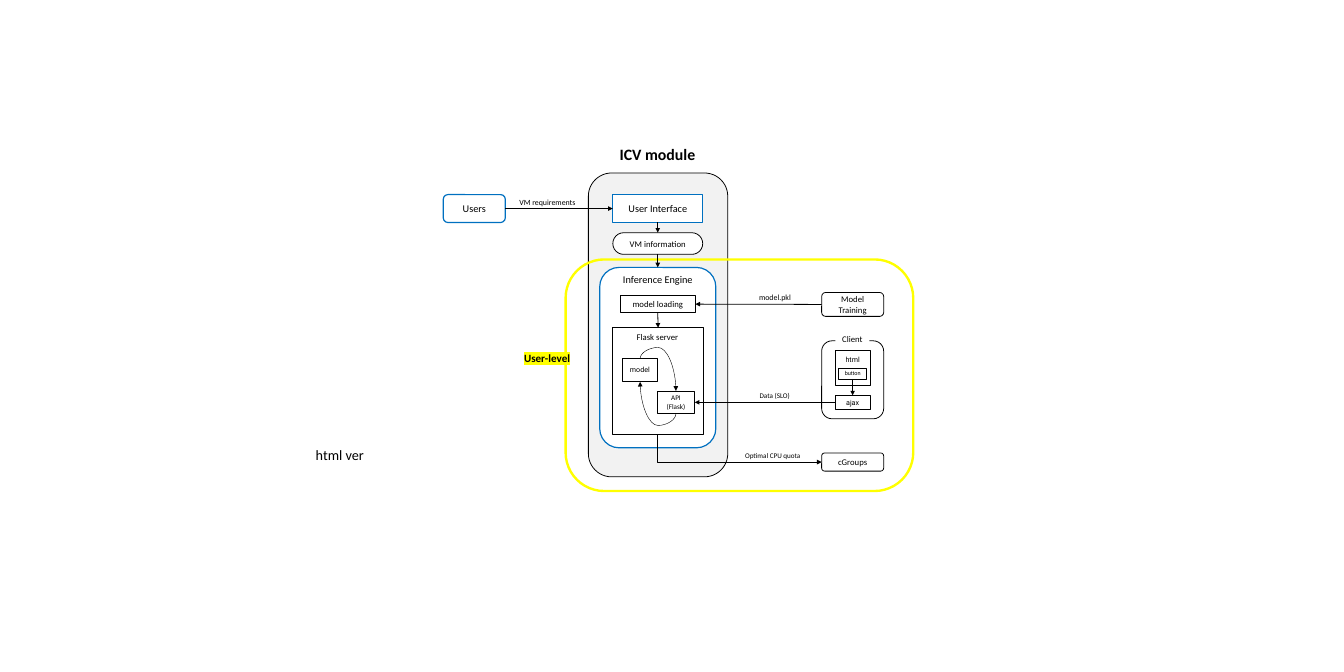
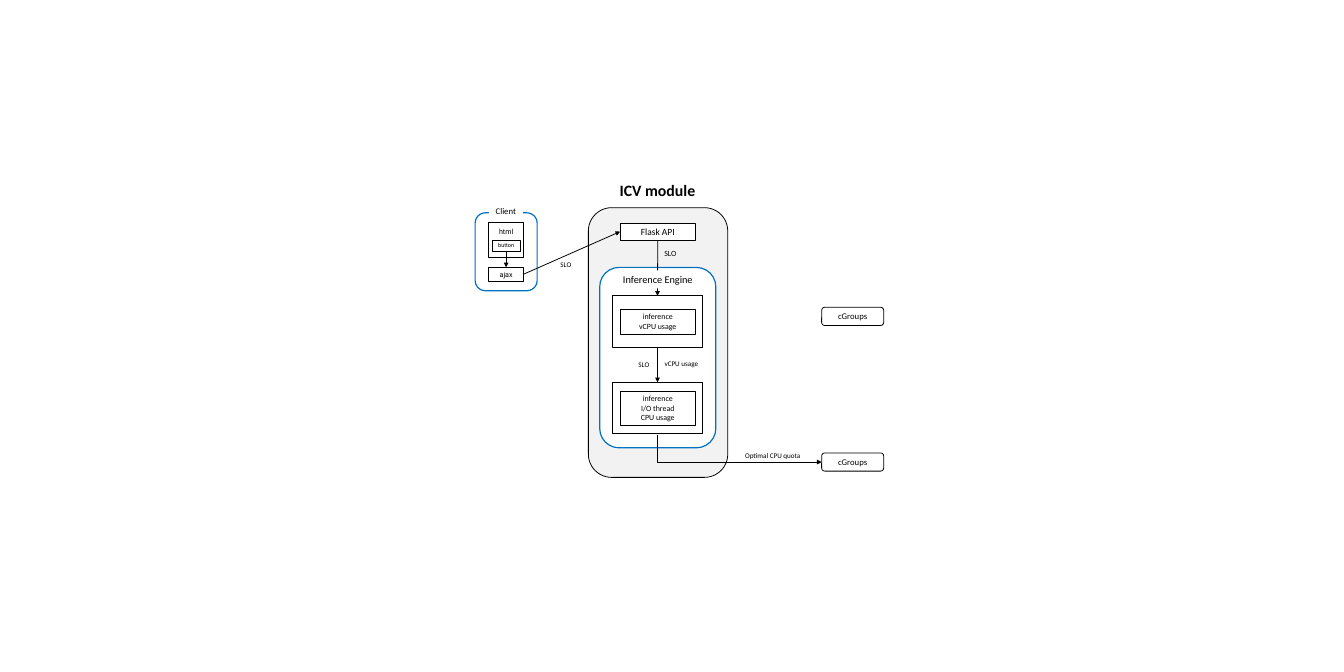
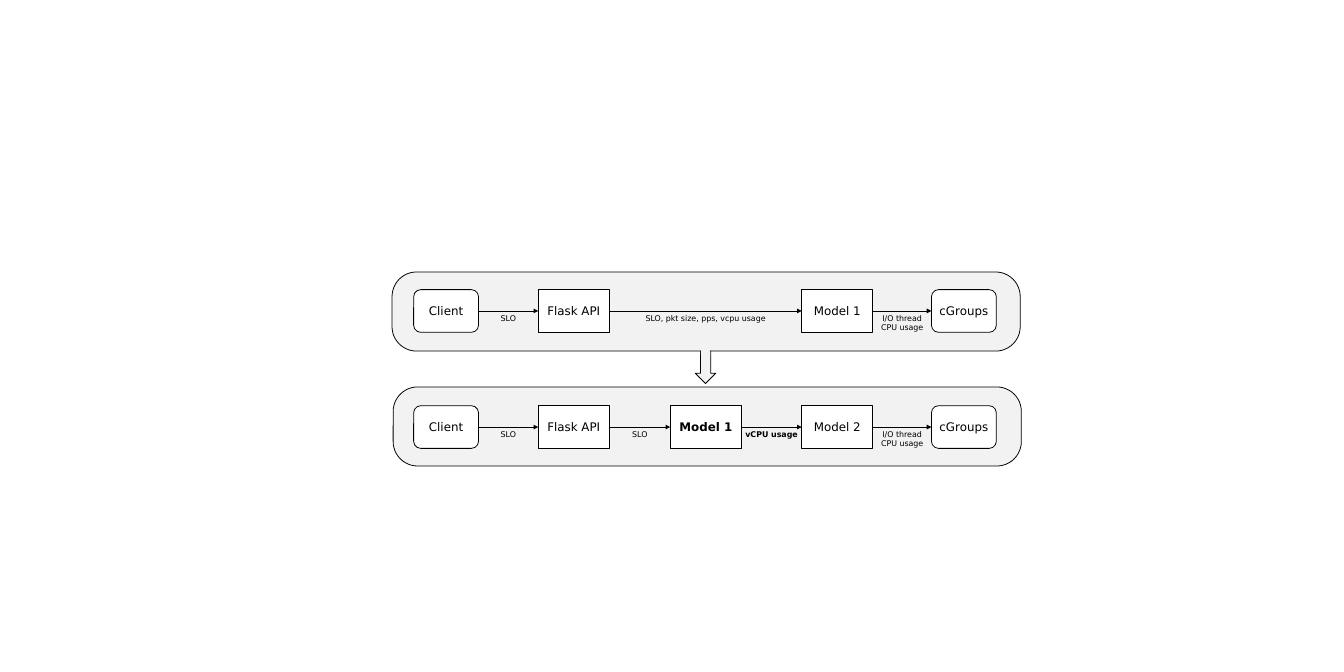
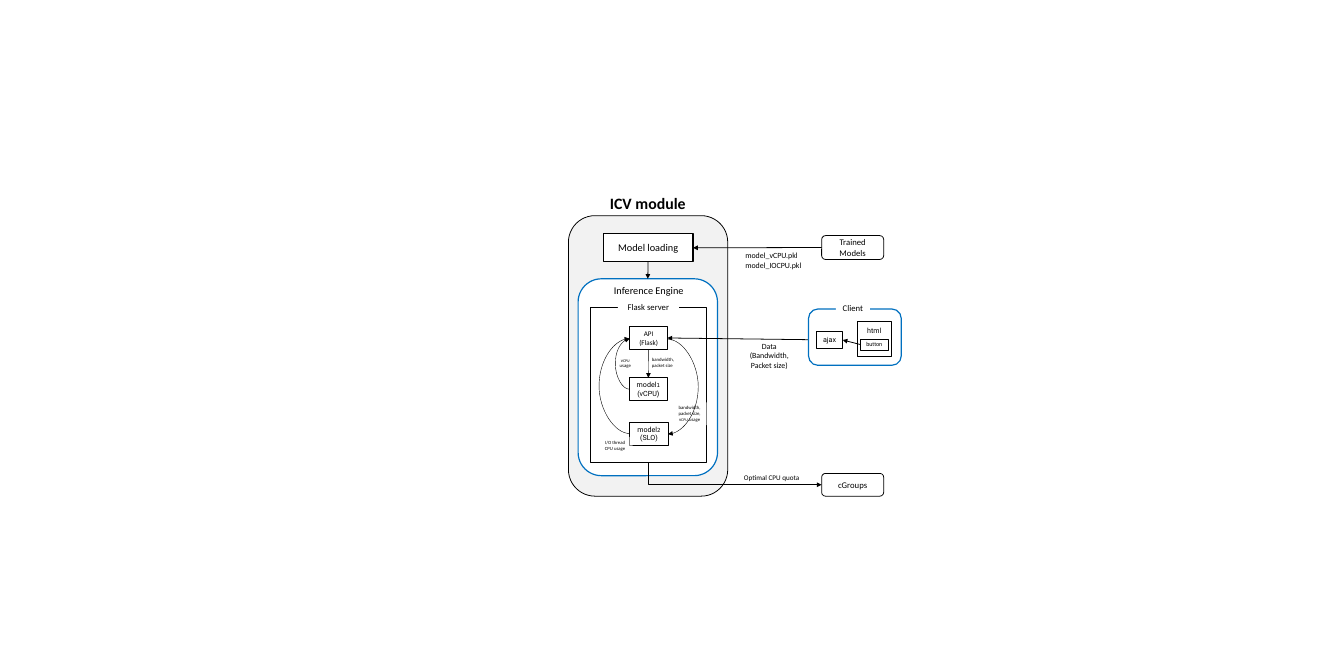
import pptx
import pptx.util
import pptx.dml.color
import pptx.enum.shapes
import pptx.enum.text
import pptx.oxml.ns
import lxml.etree

PX = 9144  # one px is a hundredth of an inch
HUES = {"black": "000000", "white": "FFFFFF", "grey": "F2F2F2",
        "blue": "0070C0", "yellow": "FFFF00"}
SANS, ROBO, WIDE = "Calibri", "Roboto", "DejaVu Sans"
FORMS = pptx.enum.shapes.MSO_SHAPE
KINDS = {"rect": FORMS.RECTANGLE, "round": FORMS.ROUNDED_RECTANGLE,
         "down": FORMS.DOWN_ARROW}
LINKS = pptx.enum.shapes.MSO_CONNECTOR
ALIGN = pptx.enum.text.PP_ALIGN
ANCHOR = pptx.enum.text.MSO_ANCHOR
TOP, LEFT, BOTTOM, RIGHT = range(4)


# Basic helpers

def emu(*nums):
    return [round(num * PX) for num in nums]


def hue(name):
    return pptx.dml.color.RGBColor.from_string(HUES[name])


def child(node, tag, **attrs):
    return lxml.etree.SubElement(node, pptx.oxml.ns.qn(tag), attrs)


def mark(run, name):
    """Highlight a run; the tag has to follow the text fill."""
    props = run.font._element
    glow = child(props, "a:highlight")
    child(glow, "a:srgbClr", val=HUES[name])
    props.find(pptx.oxml.ns.qn("a:solidFill")).addnext(glow)


def write(shape, text, size, font=SANS, bold=False, align=ALIGN.CENTER,
          anchor=ANCHOR.MIDDLE, wrap=False, glow=None):
    """Text is a string, or a list of lines of (words, size, font) runs."""
    frame = shape.text_frame
    frame.word_wrap = wrap
    frame.vertical_anchor = anchor
    lines = text.split("\n") if isinstance(text, str) else text
    for num, line in enumerate(lines):
        para = frame.add_paragraph() if num else frame.paragraphs[0]
        para.alignment = align
        runs = [(line, size, font)] if isinstance(line, str) else line
        for words, points, face in runs:
            run = para.add_run()
            run.text = words
            look = {"name": face, "size": pptx.util.Pt(points), "bold": bold}
            for key, value in look.items():
                setattr(run.font, key, value)
            run.font.color.rgb = hue("black")
            if glow:
                mark(run, glow)


def box(slide, area, text="", size=11, kind="rect", fill="white",
        line="black", weight=1, bend=None, alpha=None, **look):
    shape = slide.shapes.add_shape(KINDS[kind], *emu(*area))
    shape.shadow.inherit = False
    if bend is not None:
        shape.adjustments[0] = bend
    if fill:
        shape.fill.solid()
        shape.fill.fore_color.rgb = hue(fill)
    else:
        shape.fill.background()
    if alpha:
        tint = shape.element.spPr.find(".//" + pptx.oxml.ns.qn("a:srgbClr"))
        child(tint, "a:alpha", val=str(alpha * 1000))
    if line:
        shape.line.color.rgb = hue(line)
        shape.line.width = pptx.util.Pt(weight)
    else:
        shape.line.fill.background()
    if text:
        write(shape, text, size, **look)
    return shape


def note(slide, area, text, size=10, **look):
    shape = slide.shapes.add_textbox(*emu(*area))
    write(shape, text, size, anchor=ANCHOR.TOP, **look)


def ink(wire, weight):
    """Black line with an arrowhead at its end and no shadow."""
    wire.line.color.rgb = hue("black")
    wire.line.width = pptx.util.Pt(weight)
    props = wire.element.spPr
    child(props.find(pptx.oxml.ns.qn("a:ln")), "a:tailEnd", type="triangle")
    child(props, "a:effectLst")


def link(slide, start, end, weight=1):
    """Straight arrow; an end is (shape, side) or a point in px."""
    wire = slide.shapes.add_connector(LINKS.STRAIGHT, 0, 0, 0, 0)
    if isinstance(start[0], int):
        wire.begin_x, wire.begin_y = emu(*start)
    else:
        wire.begin_connect(*start)
    wire.end_connect(*end)
    ink(wire, weight)


def turn(slide, start, end, form="curvedConnector3", adj=None, rot=0,
         weight=0.5):
    """Bent or curved arrow; a quarter turn swaps the sides of its frame."""
    (x1, y1), (x2, y2) = start, end
    if rot:
        midx, midy = (x1 + x2) / 2, (y1 + y2) / 2
        wide, high = abs(y2 - y1) / 2, abs(x2 - x1) / 2
        x1, x2 = midx + wide, midx - wide
        y1, y2 = midy - high, midy + high
    wire = slide.shapes.add_connector(LINKS.CURVE, *emu(x1, y1, x2, y2))
    props = wire.element.spPr
    if rot:
        props.find(pptx.oxml.ns.qn("a:xfrm")).set("rot", str(rot * 60000))
    geom = props.find(pptx.oxml.ns.qn("a:prstGeom"))
    geom.set("prst", form)
    if adj is not None:
        child(geom.find(pptx.oxml.ns.qn("a:avLst")), "a:gd", name="adj1",
              fmla=f"val {round(adj * 100000)}")
    ink(wire, weight)


# Parts that several slides share

def tag(slide, area, text, size=11):
    box(slide, area, text, size, line=None)


def module(slide, area, gap):
    left, top, wide, _ = area
    box(slide, area, kind="round", fill="grey")
    note(slide, (left + wide // 2 - 86, top - gap, 171, 44), "ICV module", 20,
         bold=True)


def engine(slide, area):
    return box(slide, area, kind="round", line="blue", weight=1.5)


def quota(slide, start, area, spot):
    left, top, _, high = area
    box(slide, area, "cGroups", kind="round")
    note(slide, (*spot, 128, 25), "Optimal CPU quota", 9)
    turn(slide, start, (left, top + high // 2), "bentConnector2", rot=270,
         weight=1)


def page(slide, left, top):
    """The html page; gives back its button."""
    html = box(slide, (left, top, 61, 62), "html", 9, font=ROBO,
               anchor=ANCHOR.TOP)
    html.text_frame.margin_top = emu(8)[0]
    return box(slide, (left + 6, top + 31, 49, 19), "button", 7, font=ROBO)


def ajax(slide, area):
    return box(slide, area, "ajax", 9, font=ROBO)


def client(slide, left, top, **edge):
    """Client with its page above ajax; gives back ajax."""
    box(slide, (left, top, 109, 137), kind="round", **edge)
    button = page(slide, left + 24, top + 17)
    call = ajax(slide, (left + 24, top + 96, 61, 24))
    link(slide, (button, BOTTOM), (call, TOP))
    tag(slide, (left + 24, top - 17, 60, 29), "Client")
    return call


def row(slide, left, top, rise, steps):
    """Band of (column, name, note to the next step, bold)."""
    box(slide, (left, top, 1104, 139), kind="round", fill="grey", bend=0.31)
    spots = [(727, 114), (946, 125), (1178, 125), (1409, 125), (1637, 114)]
    last = None
    for col, name, hint, bold in steps:
        x, wide = spots[col]
        step = box(slide, (x, top + rise, wide, 75), name, 15, font=WIDE,
                   kind="round" if col in (0, 4) else "rect",
                   weight=1.5 if bold else 1, bold=bold)
        if last:
            # The note spans the whole gap and its own side margins
            prior, edge, words, heavy = last
            link(slide, (prior, RIGHT), (step, LEFT))
            note(slide, (edge - 10, top + rise + 37, x - edge + 20, 27),
                 words, font=WIDE, bold=heavy)
        last = step, x + wide, hint, bold


# Slides

def levels(slide):
    module(slide, (1034, 304, 245, 534), 55)
    face = box(slide, (1077, 342, 158, 49), "User Interface", 13,
               line="blue", weight=1.5)
    users = box(slide, (779, 342, 109, 49), "Users", 13, kind="round",
                line="blue", weight=1.5)
    link(slide, (users, RIGHT), (face, LEFT))
    note(slide, (899, 342, 126, 27), "VM requirements")
    info = box(slide, (1077, 409, 158, 38), "VM information", kind="round",
               bend=0.5)
    link(slide, (face, BOTTOM), (info, TOP))

    # User level
    box(slide, (994, 456, 611, 407), kind="round", fill=None, line="yellow",
        weight=3)
    note(slide, (908, 612, 107, 34), "User-level", 14, bold=True,
         glow="yellow")

    # Inference engine
    core = engine(slide, (1054, 470, 204, 317))
    link(slide, (info, BOTTOM), (core, TOP))
    tag(slide, (1077, 475, 158, 32), "Inference Engine", 13)
    server = box(slide, (1077, 576, 159, 188), weight=1.25)
    tag(slide, (1102, 578, 107, 29), "Flask server")
    load = box(slide, (1090, 520, 132, 29), "model loading")
    link(slide, (load, BOTTOM), (server, TOP))
    api = box(slide, (1155, 687, 66, 40), "API\n(Flask)", 9)
    box(slide, (1094, 630, 61, 40), "model", 9, font=ROBO)
    turn(slide, (1125, 630), (1188, 687), adj=-0.34, rot=270)
    turn(slide, (1188, 727), (1125, 671), adj=-0.37, rot=90)

    # Right side
    train = box(slide, (1444, 514, 109, 42), "Model\nTraining", kind="round")
    link(slide, (train, LEFT), (load, RIGHT))
    note(slide, (1322, 510, 80, 27), "model.pkl")
    call = client(slide, 1444, 599)
    link(slide, (call, LEFT), (api, RIGHT))
    note(slide, (1320, 683, 83, 25), "Data (SLO)", 9)
    quota(slide, (1156, 764), (1444, 796, 109, 32), (1294, 788))
    note(slide, (545, 780, 166, 62), "html ver", 18, align=ALIGN.LEFT)


def stages(slide):
    module(slide, (1034, 365, 245, 474), 52)
    note(slide, (1154, 432, 48, 27), "SLO")
    api = box(slide, (1090, 392, 132, 30), "Flask API", 12)
    call = client(slide, 835, 374, line="blue", weight=1.5)
    link(slide, (call, RIGHT), (api, LEFT))
    note(slide, (972, 453, 45, 25), "SLO", 9)

    # Two inference steps
    engine(slide, (1054, 470, 204, 317))
    usage, thread = [box(slide, (1076, top, 159, 90), weight=1.25)
                     for top in (520, 672)]
    link(slide, (api, BOTTOM), (usage, TOP))
    link(slide, (usage, BOTTOM), (thread, TOP))
    tag(slide, (1077, 475, 158, 32), "Inference Engine", 13)
    box(slide, (1090, 543, 132, 44), "inference\nvCPU usage", 10)
    box(slide, (1090, 687, 132, 61), "inference\nI/O thread\nCPU usage", 10)
    note(slide, (1109, 628, 45, 25), "SLO", 9)
    note(slide, (1154, 627, 87, 25), "vCPU usage", 9)

    quota(slide, (1156, 764), (1444, 796, 109, 32), (1294, 788))
    box(slide, (1444, 540, 109, 32), "cGroups", kind="round")


def flows(slide):
    thread = "I/O thread\nCPU usage"
    row(slide, 691, 680, 33, [
        (0, "Client", "SLO", False), (1, "Flask API", "SLO", False),
        (2, "Model 1", "vCPU usage", True), (3, "Model 2", thread, False),
        (4, "cGroups", "", False)])
    row(slide, 689, 478, 31, [
        (0, "Client", "SLO", False),
        (1, "Flask API", "SLO, pkt size, pps, vcpu usage", False),
        (3, "Model 1", thread, False), (4, "cGroups", "", False)])
    # Arrow that grows out of the upper band
    box(slide, (1222, 617, 36, 57), kind="down", fill="grey")
    box(slide, (1232, 611, 16, 13), fill="grey", line=None)


def models(slide):
    module(slide, (999, 379, 280, 493), 44)
    load = box(slide, (1060, 411, 158, 49), "Model loading", 13, weight=1.5)
    train = box(slide, (1444, 414, 109, 42), "Trained Models", kind="round",
                wrap=True)
    link(slide, (train, LEFT), (load, RIGHT))
    note(slide, (1300, 436, 133, 44), "model_vCPU.pkl\nmodel_IOCPU.pkl",
         align=ALIGN.LEFT)

    # Inference engine
    core = engine(slide, (1016, 490, 245, 346))
    link(slide, (load, BOTTOM), (core, TOP))
    tag(slide, (1061, 494, 158, 32), "Inference Engine", 13)
    box(slide, (1037, 540, 204, 272), weight=1.25)
    tag(slide, (1086, 525, 107, 29), "Flask server")
    api = box(slide, (1107, 574, 66, 40), "API\n(Flask)", 9)
    first, _ = [
        box(slide, (left, top, 67, 40),
            [[("model", 9, ROBO), (num, 7, WIDE)], [(kind, 9, ROBO)]], 9)
        for left, top, num, kind in ((1106, 664, "1", "(vCPU)"),
                                     (1107, 742, "2", "(SLO)"))]

    # Calls between the server's parts
    turn(slide, (1106, 684), (1107, 595), adj=-25)
    link(slide, (api, BOTTOM), (first, TOP), 0.5)
    note(slide, (1079, 623, 40, 30),
         [[("v", 6, SANS), ("CPU", 5, SANS)], "usage"], 6)
    note(slide, (1136, 622, 60, 30), "bandwidth,\npacket size", 6,
         align=ALIGN.LEFT)
    box(slide, (1181, 707, 62, 40),
        ["bandwidth,", "packet size,",
         [("v", 6, SANS), ("CPU", 5, SANS), (" usage", 6, SANS)]], 6,
        line=None, alpha=50)
    turn(slide, (1107, 762), (1106, 595), adj=55)
    box(slide, (1050, 768, 62, 30), "I/O thread\nCPU usage", 6, line=None,
        alpha=50)
    turn(slide, (1173, 596), (1174, 763), adj=55)

    # Client
    link(slide, (1421, 597), (api, RIGHT))
    note(slide, (1305, 595, 94, 61), "Data\n(Bandwidth,\nPacket size)")
    box(slide, (1421, 543, 163, 99), kind="round", line="blue", weight=1.5)
    button = page(slide, 1506, 565)
    call = ajax(slide, (1435, 583, 46, 29))
    link(slide, (button, LEFT), (call, RIGHT))
    tag(slide, (1469, 526, 60, 29), "Client")

    quota(slide, (1139, 812), (1444, 832, 109, 40), (1292, 827))


def main():
    deck = pptx.Presentation()
    deck.slide_width, deck.slide_height = emu(2362, 1181)
    for draw in (levels, stages, flows, models):
        draw(deck.slides.add_slide(deck.slide_layouts[6]))
    deck.save("out.pptx")


if __name__ == "__main__":
    main()
